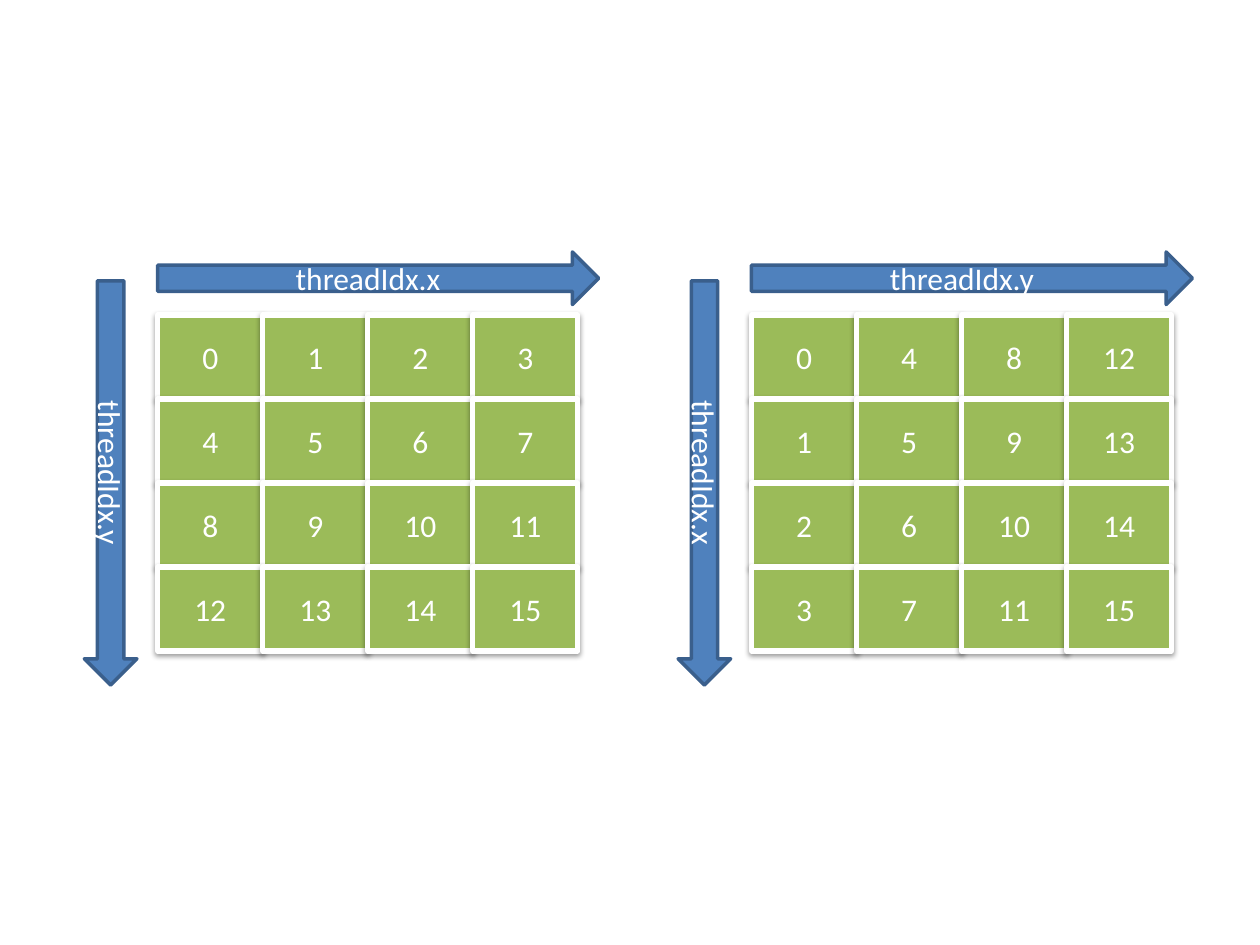
from lxml.etree import SubElement
from pptx import Presentation
from pptx.dml.color import RGBColor
from pptx.enum.shapes import MSO_SHAPE
from pptx.enum.text import MSO_ANCHOR, PP_ALIGN
from pptx.oxml.ns import qn
from pptx.util import Cm, Pt

GRID_SIZE = 4
CELL_WIDTH, CELL_HEIGHT = 2.117, 1.693
GRID_TOP = 6.35
ARROW_THICKNESS = 1.06


def color(hex_string):
    return RGBColor.from_string(hex_string)


class ThreadDiagram:
    """Holds the style and the slide that is being drawn on."""

    font, text_size, text_color = "Calibri", 18, "FFFFFF"
    cell_fill, cell_line = "9BBB59", "FFFFFF"
    arrow_fill, arrow_line = "4F81BD", "3A5F8C"

    def __init__(self, slide):
        self.slide = slide

    def box(self, preset, left, top, width, height, label, fill, line, line_width):
        shape = self.slide.shapes.add_shape(
            preset, Cm(left), Cm(top), Cm(width), Cm(height))
        shape.shadow.inherit = False
        shape.fill.solid()
        shape.fill.fore_color.rgb = color(fill)
        shape.line.color.rgb = color(line)
        shape.line.width = Pt(line_width)
        frame = shape.text_frame
        frame.text = label
        frame.vertical_anchor = MSO_ANCHOR.MIDDLE
        paragraph = frame.paragraphs[0]
        paragraph.alignment = PP_ALIGN.CENTER
        font = paragraph.runs[0].font
        font.name, font.size = self.font, Pt(self.text_size)
        font.color.rgb = color(self.text_color)
        return shape

    def cell(self, left, top, number):
        square = self.box(MSO_SHAPE.RECTANGLE, left, top, CELL_WIDTH, CELL_HEIGHT,
                          str(number), self.cell_fill, self.cell_line, 3)
        effects = square._element.spPr.find(qn("a:effectLst"))
        shadow = SubElement(effects, qn("a:outerShdw"), blurRad=str(Pt(3.1)),
                            dist=str(Pt(1.6)), dir="5400000", rotWithShape="0")
        shade = SubElement(shadow, qn("a:srgbClr"), val="000000")
        SubElement(shade, qn("a:alpha"), val="38000")

    def arrow(self, left, top, length, label):
        return self.box(MSO_SHAPE.RIGHT_ARROW, left, top, length, ARROW_THICKNESS,
                        label, self.arrow_fill, self.arrow_line, 2)

    def down_arrow(self, center_x, center_y, length, label):
        """Draw a right arrow turned a quarter, so that its label turns too."""
        arrow = self.arrow(center_x - length / 2, center_y - ARROW_THICKNESS / 2,
                           length, label)
        arrow.rotation = 90
        arrow.text_frame.word_wrap = False
        arrow.text_frame.margin_top = arrow.text_frame.margin_bottom = 0

    def thread_grid(self, left, across, down, column_step, row_step):
        """Draw the numbered threads with an axis arrow above and at the left."""
        for row in range(GRID_SIZE):
            for column in range(GRID_SIZE):
                self.cell(left + column * CELL_WIDTH, GRID_TOP + row * CELL_HEIGHT,
                          column * column_step + row * row_step)
        self.arrow(left, 5.08, 8.89, across)
        grid_middle = GRID_TOP + GRID_SIZE * CELL_HEIGHT / 2
        self.down_arrow(left - 0.95, grid_middle, 8.15, down)


def main():
    presentation = Presentation()
    presentation.slide_width, presentation.slide_height = Cm(25.4), Cm(19.05)
    blank_layout = presentation.slide_layouts[6]
    diagram = ThreadDiagram(presentation.slides.add_slide(blank_layout))
    diagram.thread_grid(3.18, "threadIdx.x ", "threadIdx.y ",
                        column_step=1, row_step=GRID_SIZE)
    diagram.thread_grid(15.15, "threadIdx.y ", "threadIdx.x ",
                        column_step=GRID_SIZE, row_step=1)
    presentation.save("out.pptx")


if __name__ == "__main__":
    main()
